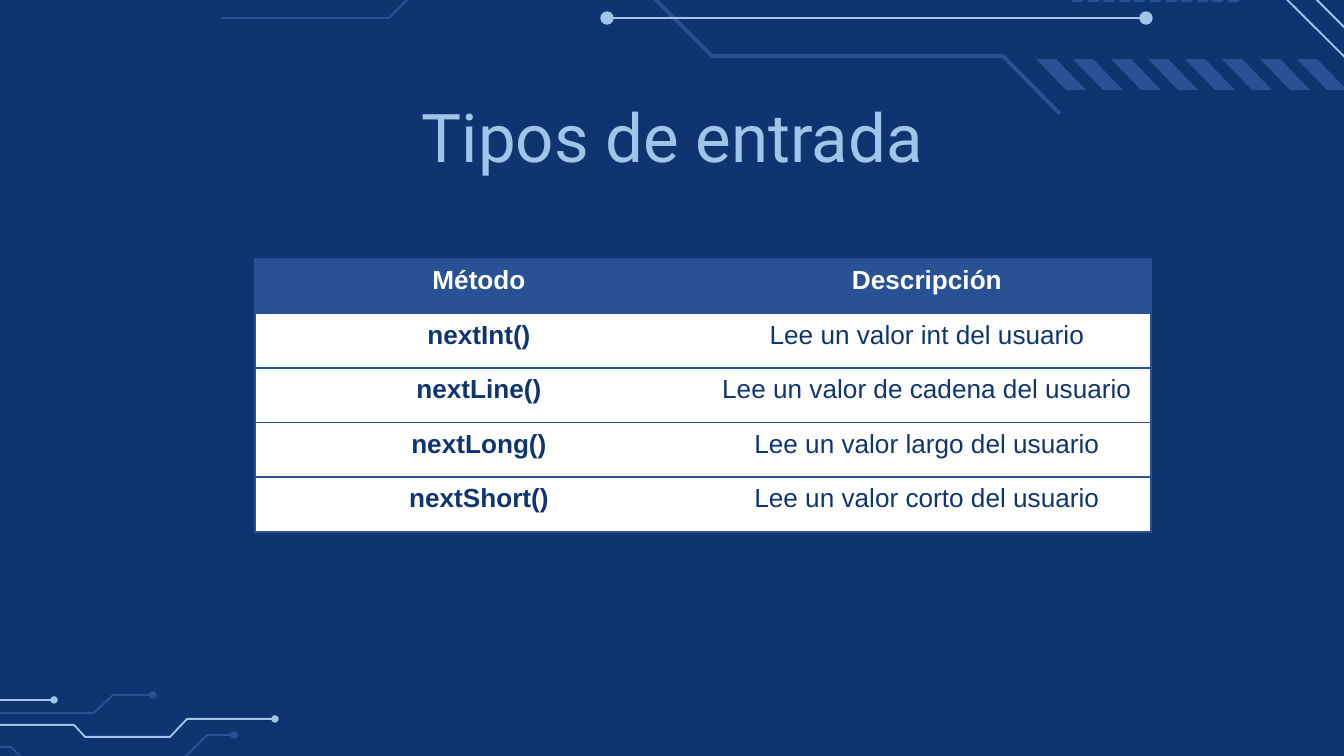
"""Build the slide on input methods: circuit traces, a title and a table."""
from dataclasses import dataclass

from lxml.etree import SubElement as Sub
from pptx import Presentation
from pptx.dml.color import RGBColor as RGB
from pptx.enum.shapes import MSO_CONNECTOR as Link, MSO_SHAPE as Form
from pptx.enum.text import MSO_ANCHOR as Anchor, MSO_AUTO_SIZE as Fit, PP_ALIGN as Align
from pptx.oxml.ns import qn
from pptx.util import Pt

SCALE = 914400 / 134.4


@dataclass(frozen=True)
class Theme:
    """Colours, fonts, type sizes and line widths."""
    back: str = "0F3570"
    dark: str = "285293"
    light: str = "9FC5E8"
    white: str = "FFFFFF"
    head: str = "Roboto"
    body: str = "Arial"
    big: int = 36
    small: int = 14
    thin: float = 1
    thick: float = 2


T = Theme()

TRACES = [
    (T.light, T.thin, [(557, -122), (660, -122), (767, -14), (947, -14),
                       (1022, -88), (1199, -88), (1396, 108)]),
    (T.dark, T.thick, [(502, -20), (636, -20), (712, 56), (1003, 56), (1060, 114)]),
    (T.dark, T.thin, [(222, 18), (389, 18), (458, -51), (583, -51)]),
    (T.light, T.thin, [(-233, 725), (74, 725), (85, 737), (170, 737),
                       (187, 719), (275, 719)]),
    (T.dark, T.thin, [(-146, 747), (11, 747), (27, 763), (198, 763)]),
    (T.dark, T.thin, [(179, 763), (207, 735), (234, 735)]),
    (T.dark, T.thin, [(-153, 688), (-128, 713), (94, 713), (113, 695), (153, 695)]),
]
WIRES = [((607, 18), (1146, 18)), ((1229, -88), (1428, 111)), ((-105, 700), (54, 700))]
DOTS = [
    (T.light, 12, (607, 18)),
    (T.light, 12, (1146, 18)),
    (T.light, 6, (275, 719)),
    (T.light, 6, (54, 700)),
    (T.dark, 6, (234, 735)),
    (T.dark, 6, (153, 695)),
]
SLASH = [(0, 59), (20, 59), (50, 90), (30, 90)]
ARROW = [(0, 2), (16, -12), (1, -26), (11, -26), (25, -12), (11, 2)]
ROWS = [
    ("Método", "Descripción"),
    ("nextInt()", "Lee un valor int del usuario"),
    ("nextLine()", "Lee un valor de cadena del usuario"),
    ("nextLong()", "Lee un valor largo del usuario"),
    ("nextShort()", "Lee un valor corto del usuario"),
]


def px(*nums):
    """Turn px into EMU."""
    return [round(n * SCALE) for n in nums]


def paint(fill, tone):
    """Fill with one solid colour."""
    fill.solid()
    fill.fore_color.rgb = RGB.from_string(tone)


def ink(line, tone, size):
    """Set the colour and width of a line."""
    paint(line.fill, tone)
    line.width = Pt(size)


def style(para, face, size, tone, bold=False):
    """Centre a paragraph and set its font."""
    para.alignment = Align.CENTER
    font = para.font
    font.name, font.size, font.bold = face, Pt(size), bold
    font.color.rgb = RGB.from_string(tone)


def outline(slide, dots, close):
    """Draw a freeform through the points."""
    pen = slide.shapes.build_freeform(*dots[0], scale=SCALE)
    pen.add_line_segments(dots[1:], close=close)
    shape = pen.convert_to_shape()
    shape.shadow.inherit = False
    return shape


def trace(slide, tone, size, dots):
    """Draw an open bent line."""
    shape = outline(slide, dots, False)
    shape.fill.background()
    ink(shape.line, tone, size)


def strip(slide, dots, left, count, span):
    """Repeat a dark outline so that the left edges cover the span."""
    for i in range(count):
        step = left + round(span * i / (count - 1))
        shape = outline(slide, [(x + step, y) for x, y in dots], True)
        paint(shape.fill, T.dark)
        shape.line.fill.background()


def wire(slide, start, end):
    """Draw a straight light line."""
    line = slide.shapes.add_connector(Link.STRAIGHT, *px(*start, *end))
    ink(line.line, T.light, T.thin)
    Sub(line._element.spPr, qn("a:effectLst"))


def dot(slide, tone, size, mid):
    """Draw a round node about its middle."""
    x, y = (n - size // 2 for n in mid)
    shape = slide.shapes.add_shape(Form.OVAL, *px(x, y, size, size))
    shape.shadow.inherit = False
    paint(shape.fill, tone)
    ink(shape.line, tone, 0.75)


def title(slide, text):
    """Place the title in front of the traces."""
    shape = slide.shapes.title
    shape.left, shape.top, shape.width, shape.height = px(106, 95, 1133, 71)
    frame = shape.text_frame
    frame.text = text
    frame.auto_size, frame.vertical_anchor = Fit.NONE, Anchor.TOP
    frame.margin_left = frame.margin_top = frame.margin_right = frame.margin_bottom = 0
    style(frame.paragraphs[0], T.head, T.big, T.light)
    slide.shapes._spTree.append(shape._element)


def edge(cell, inner):
    """Rule a cell on every side but the inner one."""
    prop = cell._tc.get_or_add_tcPr()
    for side in "LRTB":
        line = Sub(prop, qn(f"a:ln{side}"), w=str(Pt(T.thin)))
        if side == inner:
            Sub(line, qn("a:noFill"))
        else:
            Sub(Sub(line, qn("a:solidFill")), qn("a:srgbClr"), val=T.dark)


def grid(slide, rows):
    """Add the table of methods."""
    table = slide.shapes.add_table(len(rows), 2, *px(255, 259, 896, 273)).table
    table.first_row = table.horz_banding = False
    for r, row in enumerate(rows):
        for c, text in enumerate(row):
            cell = table.cell(r, c)
            cell.text = text
            edge(cell, "RL"[c])
            paint(cell.fill, T.white if r else T.dark)
            style(cell.text_frame.paragraphs[0], T.body, T.small,
                  T.back if r else T.white, r == 0 or c == 0)


def main():
    """Build and save the deck."""
    deck = Presentation()
    deck.slide_width, deck.slide_height = px(1344, 756)
    slide = deck.slides.add_slide(deck.slide_layouts[5])
    paint(slide.background.fill, T.back)
    for item in TRACES:
        trace(slide, *item)
    for item in WIRES:
        wire(slide, *item)
    strip(slide, SLASH, 1036, 8, 261)
    strip(slide, ARROW, 1071, 11, 156)
    for item in DOTS:
        dot(slide, *item)
    title(slide, "Tipos de entrada")
    grid(slide, ROWS)
    deck.save("out.pptx")


if __name__ == "__main__":
    main()
